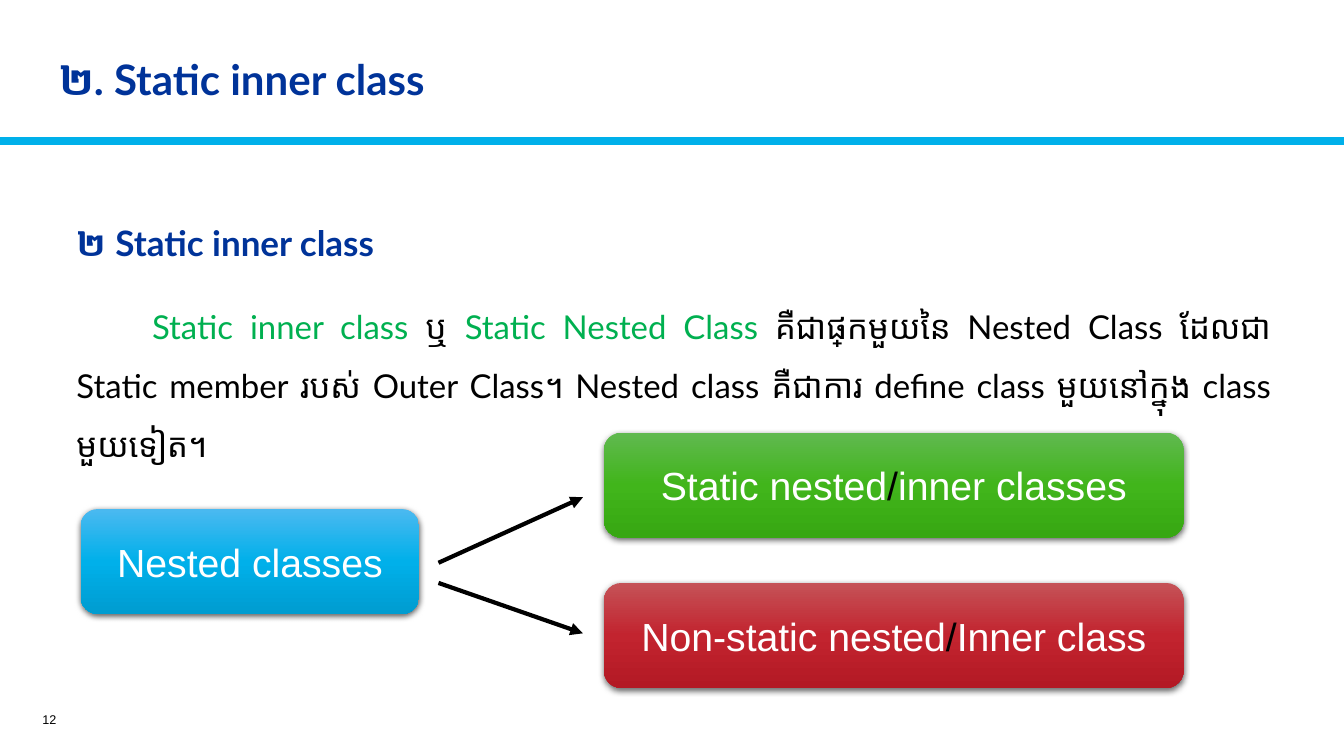
from dataclasses import dataclass

import lxml.etree
import pptx
import pptx.dml.color
import pptx.enum.shapes
import pptx.enum.text
import pptx.oxml
import pptx.oxml.ns
import pptx.util

ALIGN = pptx.enum.text.PP_ALIGN
COLUMNS, ROWS = 160, 90


@dataclass(frozen=True)
class Theme:
    heading_font: str = "Lato"
    label_font: str = "Arial"
    navy: str = "003399"
    green: str = "00B050"
    black: str = "000000"
    white: str = "FFFFFF"
    rule: str = "00B0EA"
    blue_shades: tuple = ("4BB9F0", "00B0EA", "009CD0")
    green_shades: tuple = ("60B94F", "41B51B", "37A712")
    red_shades: tuple = ("C55257", "C2242F", "B31924")
    title_size: float = 30
    subtitle_size: float = 25
    body_size: float = 23.5
    label_size: float = 28
    number_size: float = 9


class SlideBuilder:
    """Places styled elements on a grid of COLUMNS by ROWS."""

    def __init__(self, deck, theme):
        self.theme = theme
        self.cell_width = deck.slide_width / COLUMNS
        self.cell_height = deck.slide_height / ROWS
        self.slide = deck.slides.add_slide(deck.slide_layouts[1])

    def cells(self, *lengths):
        """Turn alternating columns and rows into slide lengths."""
        sizes = (self.cell_width, self.cell_height)
        return [int(n * sizes[i % 2]) for i, n in enumerate(lengths)]

    def add_runs(self, paragraph, runs, font, size, bold=False):
        for wording, color in runs:
            run = paragraph.add_run()
            run.text = wording
            run.font.name = font
            run.font.size = pptx.util.Pt(size)
            run.font.bold = bold
            run.font.color.rgb = pptx.dml.color.RGBColor.from_string(color)

    def frame(self, holder, anchor=pptx.enum.text.MSO_ANCHOR.MIDDLE):
        frame = holder.text_frame
        frame.word_wrap = True
        frame.auto_size = pptx.enum.text.MSO_AUTO_SIZE.NONE
        frame.vertical_anchor = anchor
        return frame

    def move(self, holder, area):
        holder.left, holder.top, holder.width, holder.height = self.cells(*area)

    def title(self, area, wording):
        holder = self.slide.shapes.title
        self.move(holder, area)
        paragraph = self.frame(holder).paragraphs[0]
        paragraph.alignment = ALIGN.LEFT
        paragraph.line_spacing = 0.9
        self.add_runs(paragraph, [(wording, self.theme.navy)],
                      self.theme.heading_font, self.theme.title_size, True)

    def body(self, area, subtitle, explanation):
        holder = self.slide.placeholders[1]
        self.move(holder, area)
        frame = self.frame(holder, pptx.enum.text.MSO_ANCHOR.TOP)
        parts = ((subtitle, self.theme.subtitle_size, True, 0),
                 (explanation, self.theme.body_size, False, 0.75))
        for level, (runs, size, bold, indent) in enumerate(parts):
            paragraph = frame.add_paragraph() if level else frame.paragraphs[0]
            paragraph.level = level
            paragraph.alignment = ALIGN.JUSTIFY
            paragraph.line_spacing = 1.5
            paragraph.space_before = pptx.util.Pt(16.5 * level)
            properties = paragraph._p.get_or_add_pPr()
            properties.set("marL", "0")
            properties.set("indent", str(pptx.util.Inches(indent)))
            lxml.etree.SubElement(properties, pptx.oxml.ns.qn("a:buNone"))
            self.add_runs(paragraph, runs, self.theme.heading_font, size, bold)

    def number(self, area, wording):
        box = self.slide.shapes.add_textbox(*self.cells(*area))
        paragraph = self.frame(box).paragraphs[0]
        paragraph.alignment = ALIGN.RIGHT
        self.add_runs(paragraph, [(wording, self.theme.black)],
                      self.theme.label_font, self.theme.number_size)

    def box(self, area, shades, runs):
        box = self.slide.shapes.add_shape(
            pptx.enum.shapes.MSO_SHAPE.ROUNDED_RECTANGLE, *self.cells(*area))
        box.line.fill.background()
        box.shadow.inherit = False
        namespace = pptx.oxml.ns.nsdecls("a")
        stops = "".join(
            f'<a:gs pos="{i * 50000}"><a:srgbClr val="{shade}"/></a:gs>'
            for i, shade in enumerate(shades))
        properties = box._element.spPr
        properties.find(pptx.oxml.ns.qn("a:ln")).addprevious(pptx.oxml.parse_xml(
            f'<a:gradFill {namespace} rotWithShape="1"><a:gsLst>{stops}</a:gsLst>'
            '<a:lin ang="5400000" scaled="0"/></a:gradFill>'))
        properties.find(pptx.oxml.ns.qn("a:effectLst")).append(pptx.oxml.parse_xml(
            f'<a:outerShdw {namespace} blurRad="57150" dist="19050" dir="5400000" '
            f'algn="ctr" rotWithShape="0"><a:srgbClr val="{self.theme.black}">'
            '<a:alpha val="63000"/></a:srgbClr></a:outerShdw>'))
        paragraph = self.frame(box).paragraphs[0]
        paragraph.alignment = ALIGN.CENTER
        self.add_runs(paragraph, runs, self.theme.label_font, self.theme.label_size)

    def line(self, ends, color, width, arrow=False):
        line = self.slide.shapes.add_connector(
            pptx.enum.shapes.MSO_CONNECTOR.STRAIGHT, *self.cells(*ends))
        line.line.color.rgb = pptx.dml.color.RGBColor.from_string(color)
        line.line.width = pptx.util.Pt(width)
        properties = line._element.spPr
        if arrow:
            lxml.etree.SubElement(properties.find(pptx.oxml.ns.qn("a:ln")),
                                  pptx.oxml.ns.qn("a:tailEnd"), type="triangle")
        lxml.etree.SubElement(properties, pptx.oxml.ns.qn("a:effectLst"))


def main():
    deck = pptx.Presentation()
    deck.slide_width = pptx.util.Inches(13.33)
    deck.slide_height = pptx.util.Inches(7.5)
    theme = Theme()
    page = SlideBuilder(deck, theme)

    # Header and page number
    page.line((0, 16.8, COLUMNS, 16.8), theme.rule, 6)
    page.title((5.8, 4.7, 108.2, 10), "២. Static inner class")
    page.number((1.1, 83.9, 6.8, 3.6), "12")

    # Definition
    page.body(
        (7.9, 23.3, 144.6, 56.6),
        [("២ Static inner class", theme.navy)],
        [("Static inner class ", theme.green),
         ("ឬ ", theme.black),
         ("Static Nested Class ", theme.green),
         ("គឺជាផ្នែកមួយនៃ Nested Class ដែលជា Static member របស់ Outer Class។ "
          "Nested class គឺជាការ define class មួយនៅក្នុង class មួយទៀត។", theme.black)])

    # Nested classes and their two kinds
    box_height = 12.5
    page.box((9.6, 60.6, 40.3, box_height), theme.blue_shades,
             [("Nested classes", theme.white)])
    kinds = (
        (51.5, theme.green_shades, "Static nested", "inner classes", (67, 59.2)),
        (69.4, theme.red_shades, "Non-static nested", "Inner class", (69.4, 75.4)),
    )
    for top, shades, kind, synonym, (start, end) in kinds:
        page.box((71.9, top, 69, box_height), shades,
                 [(kind, theme.white), ("/", theme.black), (synonym, theme.white)])
        page.line((52.2, start, 69.4, end), theme.black, 3, arrow=True)

    deck.save("out.pptx")


if __name__ == "__main__":
    main()
